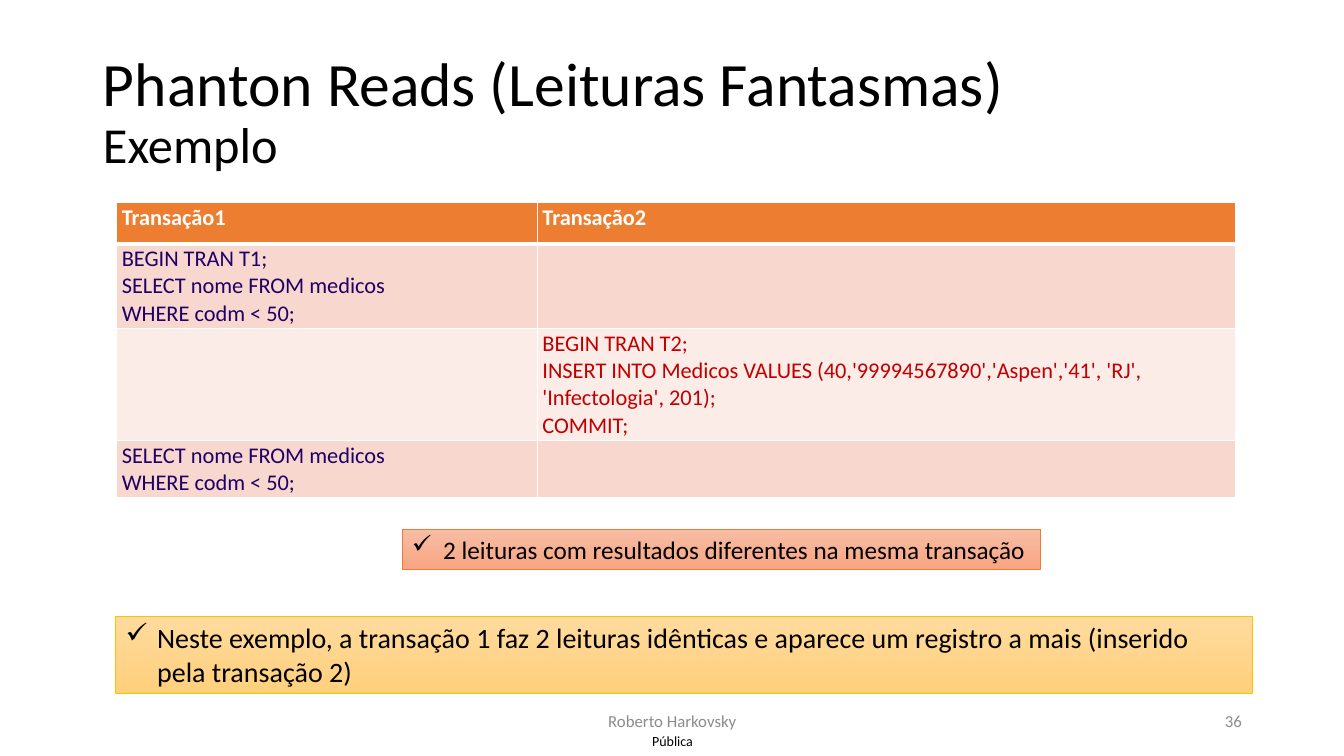
from lxml import etree
from pptx import Presentation
from pptx import util as u
from pptx.dml.color import RGBColor
from pptx.enum import shapes, text
from pptx.oxml import ns

FONT = "Calibri"
BLACK = RGBColor(0x00, 0x00, 0x00)
WHITE = RGBColor(0xFF, 0xFF, 0xFF)
GRAY = RGBColor(0x8C, 0x8C, 0x8C)
ORANGE = RGBColor(0xED, 0x7D, 0x31)
GOLD = RGBColor(0xFF, 0xC0, 0x00)
NAVY = RGBColor(0x1F, 0x00, 0x66)
RED = RGBColor(0xC0, 0x00, 0x00)
BAND_DARK = RGBColor(0xF8, 0xD7, 0xCE)
BAND_LIGHT = RGBColor(0xFC, 0xEC, 0xE8)
SALMON = (RGBColor(0xF7, 0xBD, 0xA5), RGBColor(0xF8, 0xA5, 0x82))
YELLOW = (RGBColor(0xFF, 0xDB, 0x9E), RGBColor(0xFF, 0xD0, 0x7C))


class SlideBuilder:
    def __init__(self, slide, font):
        self.slide = slide
        self.font = font

    def format_run(self, run, size, color, bold=False):
        run.font.name = self.font
        run.font.size = u.Pt(size)
        run.font.color.rgb = color
        run.font.bold = bold

    def format_frame(self, frame, size, color, bold=False):
        for paragraph in frame.paragraphs:
            for run in paragraph.runs:
                self.format_run(run, size, color, bold)

    def title(self, box, heading, subheading):
        shape = self.slide.shapes.title
        shape.left, shape.top, shape.width, shape.height = map(u.Cm, box)
        frame = shape.text_frame
        frame.text = f"{heading}\v{subheading}"
        frame.auto_size = text.MSO_AUTO_SIZE.NONE
        frame.vertical_anchor = text.MSO_ANCHOR.MIDDLE
        paragraph = frame.paragraphs[0]
        paragraph.alignment = text.PP_ALIGN.LEFT
        paragraph.line_spacing = 0.9
        for run, size in zip(paragraph.runs, (44, 36)):
            self.format_run(run, size, BLACK)

    def label(self, box, content, size, color, alignment):
        frame = self.slide.shapes.add_textbox(*map(u.Cm, box)).text_frame
        frame.word_wrap = True
        frame.vertical_anchor = text.MSO_ANCHOR.MIDDLE
        frame.text = content
        frame.paragraphs[0].alignment = alignment
        self.format_frame(frame, size, color)

    def callout(self, box, content, size, gradient, line_color):
        shape = self.slide.shapes.add_shape(
            shapes.MSO_SHAPE.RECTANGLE, *map(u.Cm, box))
        shape.shadow.inherit = False
        shape.fill.gradient()
        shape.fill.gradient_angle = 270
        for stop, color in zip(shape.fill.gradient_stops, gradient):
            stop.color.rgb = color
        shape.line.color.rgb = line_color
        shape.line.width = u.Pt(0.5)
        frame = shape.text_frame
        frame.vertical_anchor = text.MSO_ANCHOR.TOP
        frame.text = content
        paragraph = frame.paragraphs[0]
        paragraph.alignment = text.PP_ALIGN.LEFT
        properties = paragraph._p.get_or_add_pPr()
        indent = u.Cm(0.79)
        properties.set("marL", str(indent))
        properties.set("indent", str(-indent))
        etree.SubElement(properties, ns.qn("a:buChar")).set("char", "✓")
        self.format_frame(frame, size, BLACK)

    def border(self, cell, side, width):
        line = etree.SubElement(cell._tc.get_or_add_tcPr(), ns.qn(f"a:ln{side}"))
        line.set("w", str(u.Pt(width)))
        fill = etree.SubElement(line, ns.qn("a:solidFill"))
        etree.SubElement(fill, ns.qn("a:srgbClr")).set("val", str(WHITE))

    def table(self, left, top, widths, heights, rows, fills):
        table = self.slide.shapes.add_table(
            len(rows), len(widths), u.Cm(left), u.Cm(top),
            u.Cm(sum(widths)), u.Cm(sum(heights))).table
        for column, width in zip(table.columns, widths):
            column.width = u.Cm(width)
        for index, (row, height) in enumerate(zip(table.rows, heights)):
            row.height = u.Cm(height)
            header = index == 0
            for cell, content, color in zip(row.cells, rows[index], (NAVY, RED)):
                cell.margin_left = cell.margin_right = u.Cm(0.13)
                cell.margin_top = cell.margin_bottom = u.Cm(0.03)
                for side in "LRTB":
                    thick = (header and side == "B") or (index == 1 and side == "T")
                    self.border(cell, side, 3 if thick else 1)
                cell.fill.solid()
                cell.fill.fore_color.rgb = fills[index]
                cell.text_frame.text = content
                self.format_frame(cell.text_frame, 16,
                                  WHITE if header else color, header)


def main():
    presentation = Presentation()
    presentation.slide_width = u.Cm(33.87)
    presentation.slide_height = u.Cm(19.05)
    slide = presentation.slides.add_slide(presentation.slide_layouts[5])
    builder = SlideBuilder(slide, FONT)

    # Title
    builder.title((2.34, 1.02, 30, 3.68),
                  "Phanton Reads (Leituras Fantasmas)", "Exemplo")

    # Transaction timeline
    query = "SELECT nome FROM medicos\nWHERE codm < 50;"
    insert = ("INSERT INTO Medicos VALUES (40,'99994567890','Aspen','41', 'RJ', "
              "'Infectologia', 201);")
    rows = [
        ("Transação1", "Transação2"),
        (f"BEGIN TRAN T1;\n{query}", ""),
        ("", f"BEGIN TRAN T2;\n{insert}\nCOMMIT;"),
        (query, ""),
    ]
    builder.table(2.94, 5.11, (10.6, 17.6), (1.04, 2.12, 2.82, 1.44), rows,
                  (ORANGE, BAND_DARK, BAND_LIGHT, BAND_DARK))

    # Conclusions
    builder.callout((2.92, 15.52, 28.63, 1.96),
                    "Neste exemplo, a transação 1 faz 2 leituras idênticas e aparece "
                    "um registro a mais (inserido pela transação 2)",
                    20, YELLOW, GOLD)
    builder.callout((10.13, 13.33, 16.08, 1.02),
                    "2 leituras com resultados diferentes na mesma transação",
                    18, SALMON, ORANGE)

    # Footer
    center, right = text.PP_ALIGN.CENTER, text.PP_ALIGN.RIGHT
    builder.label((11.23, 17.65, 11.43, 1.02), "Roberto Harkovsky", 12, GRAY, center)
    builder.label((23.93, 17.65, 7.62, 1.02), "36", 12, GRAY, right)
    builder.label((15.8, 18.31, 2.3, 0.74), "Pública", 10, BLACK, center)

    presentation.save("out.pptx")


if __name__ == "__main__":
    main()
